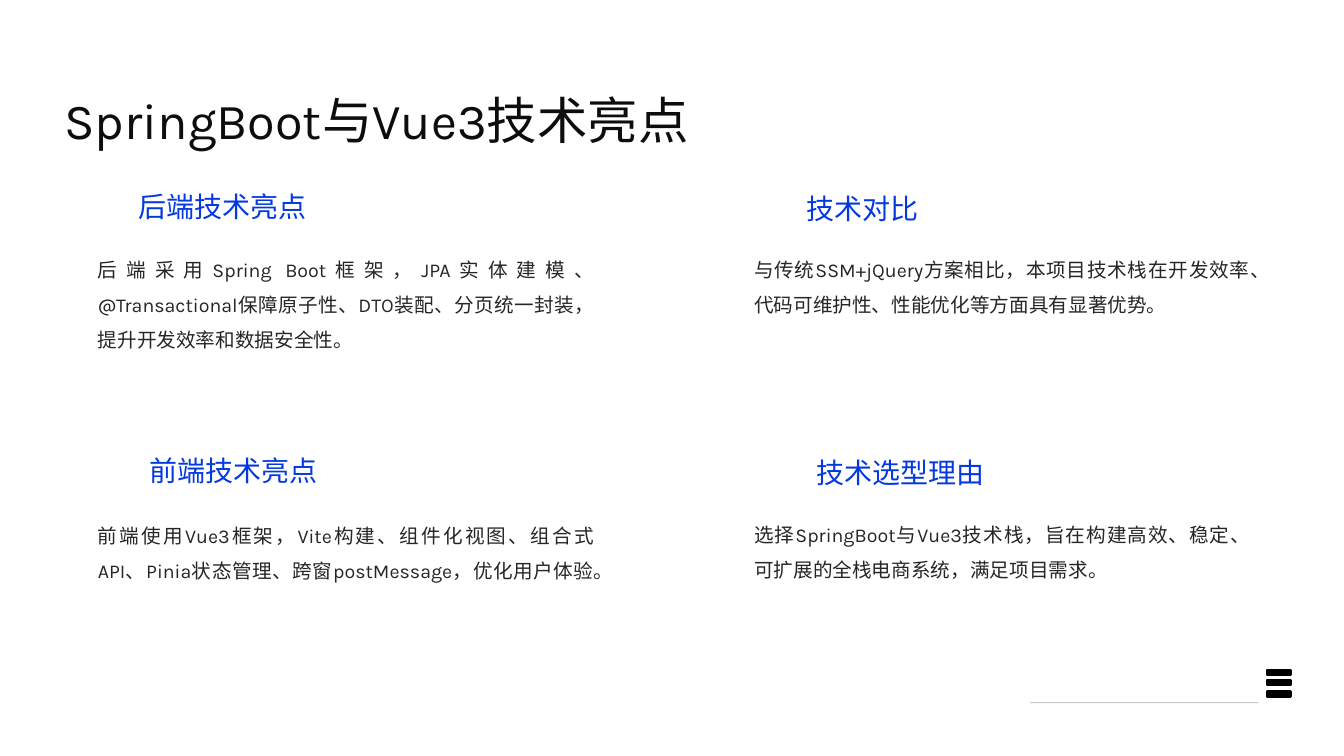
from dataclasses import dataclass

from lxml import etree
from pptx import Presentation
from pptx.dml.color import RGBColor
from pptx.enum.shapes import MSO_CONNECTOR as Connector, MSO_SHAPE as Shape
from pptx.enum.text import MSO_AUTO_SIZE as AutoSize, PP_ALIGN as Align
from pptx.oxml.ns import qn
from pptx.util import Emu, Pt

PX = 9144


@dataclass(frozen=True)
class Theme:
    font: str = "Karla"
    title: tuple = (36, "0D0D0D")
    heading: tuple = (20, "0439E1")
    body: tuple = (14, "262626")
    ink: str = "000000"
    rule_alpha: int = 22000
    leading: float = 1.5


THEME = Theme()

TITLE = "SpringBoot与Vue3技术亮点"
TOPICS = [
    ("后端技术亮点", (137, 188, 398, 38),
     "后端采用Spring Boot框架，JPA实体建模、@Transactional保障原子性、DTO装配、分页统一封装，提升开发效率和数据安全性。",
     (97, 244, 492, 187)),
    ("技术对比", (800, 190, 412, 38),
     "与传统SSM+jQuery方案相比，本项目技术栈在开发效率、代码可维护性、性能优化等方面具有显著优势。",
     (748, 244, 492, 187)),
    ("前端技术亮点", (148, 450, 398, 38),
     "前端使用Vue3框架，Vite构建、组件化视图、组合式API、Pinia状态管理、跨窗postMessage，优化用户体验。",
     (97, 508, 492, 197)),
    ("技术选型理由", (810, 452, 412, 38),
     "选择SpringBoot与Vue3技术栈，旨在构建高效、稳定、可扩展的全栈电商系统，满足项目需求。",
     (748, 507, 492, 197)),
]


def px(*lengths):
    return [Emu(length * PX) for length in lengths]


def apply(target, values):
    for name, value in values.items():
        setattr(target, name, value)


def add_text(page, area, text, style, auto_size=AutoSize.NONE, **para_format):
    frame = page.shapes.add_textbox(*px(*area)).text_frame
    apply(frame, dict(word_wrap=True, auto_size=auto_size, margin_left=0,
                      margin_top=0, margin_right=0, margin_bottom=0))
    para = frame.paragraphs[0]
    apply(para, para_format)
    span = para.add_run()
    span.text = text
    size, color = style
    apply(span.font, dict(name=THEME.font, size=Pt(size)))
    span.font.color.rgb = RGBColor.from_string(color)


def add_title(page, area):
    add_text(page, area, TITLE, THEME.title, AutoSize.SHAPE_TO_FIT_TEXT,
             line_spacing=THEME.leading)


def add_topic(page, heading, heading_area, body, body_area):
    add_text(page, heading_area, heading, THEME.heading)
    add_text(page, body_area, body, THEME.body,
             alignment=Align.JUSTIFY, line_spacing=THEME.leading)


def add_corner_mark(page, left, top):
    ink = RGBColor.from_string(THEME.ink)
    rule_left, rule_right, rule_top = left - 235, left - 9, top + 32
    rule = page.shapes.add_connector(
        Connector.STRAIGHT, *px(rule_left, rule_top, rule_right, rule_top))
    rule.line.width = Pt(0.75)
    rule.line.color.rgb = ink
    properties = rule._element.spPr
    color = properties.find(".//" + qn("a:srgbClr"))
    etree.SubElement(color, qn("a:alpha"), val=str(THEME.rule_alpha))
    etree.SubElement(properties, qn("a:effectLst"))

    for index in range(3):
        bar_top = top + index * 21 // 2
        bar = page.shapes.add_shape(Shape.RECTANGLE, *px(left, bar_top, 23, 5))
        bar.shadow.inherit = False
        bar.fill.solid()
        bar.fill.fore_color.rgb = ink
        bar.line.color.rgb = ink
        bar.line.width = Pt(1.5)


def main():
    deck = Presentation()
    deck.slide_width, deck.slide_height = px(1333, 750)
    page = deck.slides.add_slide(deck.slide_layouts[6])
    add_title(page, (64, 58, 1199, 90))
    for topic in TOPICS:
        add_topic(page, *topic)
    add_corner_mark(page, 1257, 665)
    deck.save("out.pptx")


if __name__ == "__main__":
    main()
